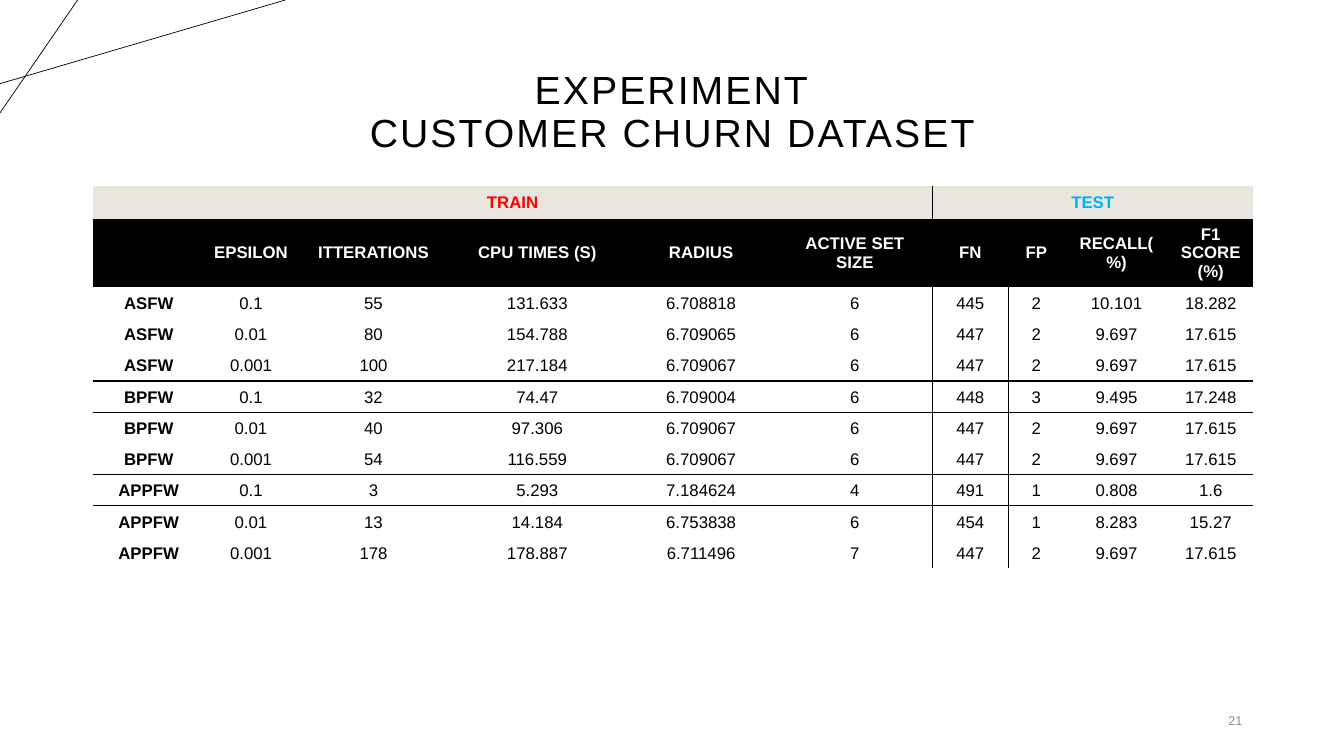
from lxml.etree import SubElement as Sub
from pptx import Presentation
from pptx.dml.color import RGBColor
from pptx.enum.shapes import MSO_CONNECTOR
from pptx.enum.text import MSO_ANCHOR, MSO_AUTO_SIZE, PP_ALIGN
from pptx.oxml.ns import qn
from pptx.util import Inches, Pt

TITLE = "EXPERIMENT\vCUSTOMER CHURN DATASET"
PAGE = "21"
GROUPS = [("TRAIN", 0, 5, "FF0000"), ("TEST", 6, 9, "00B0F0")]
HEADS = ["", "EPSILON", "ITTERATIONS", "CPU TIMES (S)", "RADIUS",
         "ACTIVE SET SIZE", "FN", "FP", "RECALL(%)", "F1 SCORE (%)"]
ROWS = [
    ("ASFW", "0.1", "55", "131.633", "6.708818", "6", "445", "2", "10.101", "18.282"),
    ("ASFW", "0.01", "80", "154.788", "6.709065", "6", "447", "2", "9.697", "17.615"),
    ("ASFW", "0.001", "100", "217.184", "6.709067", "6", "447", "2", "9.697", "17.615"),
    ("BPFW", "0.1", "32", "74.47", "6.709004", "6", "448", "3", "9.495", "17.248"),
    ("BPFW", "0.01", "40", "97.306", "6.709067", "6", "447", "2", "9.697", "17.615"),
    ("BPFW", "0.001", "54", "116.559", "6.709067", "6", "447", "2", "9.697", "17.615"),
    ("APPFW", "0.1", "3", "5.293", "7.184624", "4", "491", "1", "0.808", "1.6"),
    ("APPFW", "0.01", "13", "14.184", "6.753838", "6", "454", "1", "8.283", "15.27"),
    ("APPFW", "0.001", "178", "178.887", "6.711496", "7", "447", "2", "9.697", "17.615"),
]
WIDTHS = [1.11, 0.92, 1.51, 1.74, 1.51, 1.54, 0.75, 0.56, 1.03, 0.84]
HEIGHTS = [0.32, 0.33] + [0.31] * len(ROWS)
LINES = [(0, 0.83, 2.83, 0), (0.77, 0, 0, 1.12)]
NO_GRID = "{2D5ABB26-0587-4C30-8999-92F81FD0307C}"


def color(code):
    return RGBColor.from_string(code)


def style(par, size, code, bold=False, align=PP_ALIGN.CENTER):
    par.alignment = align
    for run in par.runs:
        font = run.font
        font.name, font.size, font.bold = "Arial", Pt(size), bold
        font.color.rgb = color(code)


def border(cell, side):
    props = cell._tc.get_or_add_tcPr()
    line = Sub(props, qn("a:ln" + side), w=str(Pt(1)))
    fill = Sub(line, qn("a:solidFill"))
    Sub(fill, qn("a:srgbClr"), val="000000")


def edges(cell, row, col):
    sides = [("L", col == 6), ("R", col == 5 or (row == 0 and col == 0)),
             ("T", row in (5, 8)), ("B", row in (4, 7))]
    for side, shown in sides:
        if shown:
            border(cell, side)


def write(cell, text, code, bold, pad):
    cell.text = text
    cell.vertical_anchor = MSO_ANCHOR.MIDDLE
    cell.margin_left = cell.margin_right = Inches(pad[0])
    cell.margin_top = cell.margin_bottom = Inches(pad[1])
    par = cell.text_frame.paragraphs[0]
    style(par, 12, code, bold)
    return par


def paint(cell, code):
    cell.fill.solid()
    cell.fill.fore_color.rgb = color(code)


def add_title(slide):
    title = slide.shapes.title
    title.left, title.top = Inches(0.92), Inches(0.4)
    title.width, title.height = Inches(11.5), Inches(1.45)
    frame = title.text_frame
    frame.text = TITLE
    frame.word_wrap = True
    frame.auto_size = MSO_AUTO_SIZE.NONE
    frame.vertical_anchor = MSO_ANCHOR.MIDDLE
    par = frame.paragraphs[0]
    par.line_spacing = 0.9
    style(par, 28, "000000")
    for run in par.runs:
        run.font._element.set("spc", "150")
    for gap in title.element.iter(qn("a:br")):
        Sub(gap, qn("a:rPr"), sz="2800")


def add_lines(slide):
    for ends in LINES:
        line = slide.shapes.add_connector(MSO_CONNECTOR.STRAIGHT, *map(Inches, ends))
        line.line.color.rgb = color("000000")
        line.line.width = Pt(0.5)
        Sub(line.element.spPr, qn("a:effectLst"))


def add_page(slide):
    box = slide.shapes.add_textbox(Inches(9.42), Inches(6.95), Inches(3), Inches(0.4))
    frame = box.text_frame
    frame.text = PAGE
    frame.word_wrap = True
    frame.vertical_anchor = MSO_ANCHOR.MIDDLE
    style(frame.paragraphs[0], 9, "8C8C8C", align=PP_ALIGN.RIGHT)


def add_grid(slide):
    shape = slide.shapes.add_table(len(HEIGHTS), len(WIDTHS), Inches(0.92), Inches(1.85),
                                   Inches(sum(WIDTHS)), Inches(sum(HEIGHTS)))
    for tag in shape.element.iter(qn("a:tableStyleId")):
        tag.text = NO_GRID
    table = shape.table
    for col, width in zip(table.columns, WIDTHS):
        col.width = Inches(width)
    for row, height in zip(table.rows, HEIGHTS):
        row.height = Inches(height)
    for r in range(len(HEIGHTS)):
        for c in range(len(WIDTHS)):
            edges(table.cell(r, c), r, c)
    for text, first, last, code in GROUPS:
        cell = table.cell(0, first)
        cell.merge(table.cell(0, last))
        write(cell, text, code, True, (0.08, 0.04))
        for c in range(first, last + 1):
            paint(table.cell(0, c), "E9E6DF")
    for c, text in enumerate(HEADS):
        cell = table.cell(1, c)
        write(cell, text, "FFFFFF", True, (0.08, 0.04))
        paint(cell, "000000")
    for r, row in enumerate(ROWS, 2):
        for c, text in enumerate(row):
            cell = table.cell(r, c)
            par = write(cell, text, "000000", c == 0, (0.07, 0))
            par.line_spacing = 1.07
            par.space_after = Pt(4)
            cell.fill.background()


def main():
    deck = Presentation()
    deck.slide_width, deck.slide_height = Inches(13.33), Inches(7.5)
    slide = deck.slides.add_slide(deck.slide_layouts[5])
    add_lines(slide)
    add_title(slide)
    add_page(slide)
    add_grid(slide)
    deck.save("out.pptx")


if __name__ == "__main__":
    main()
